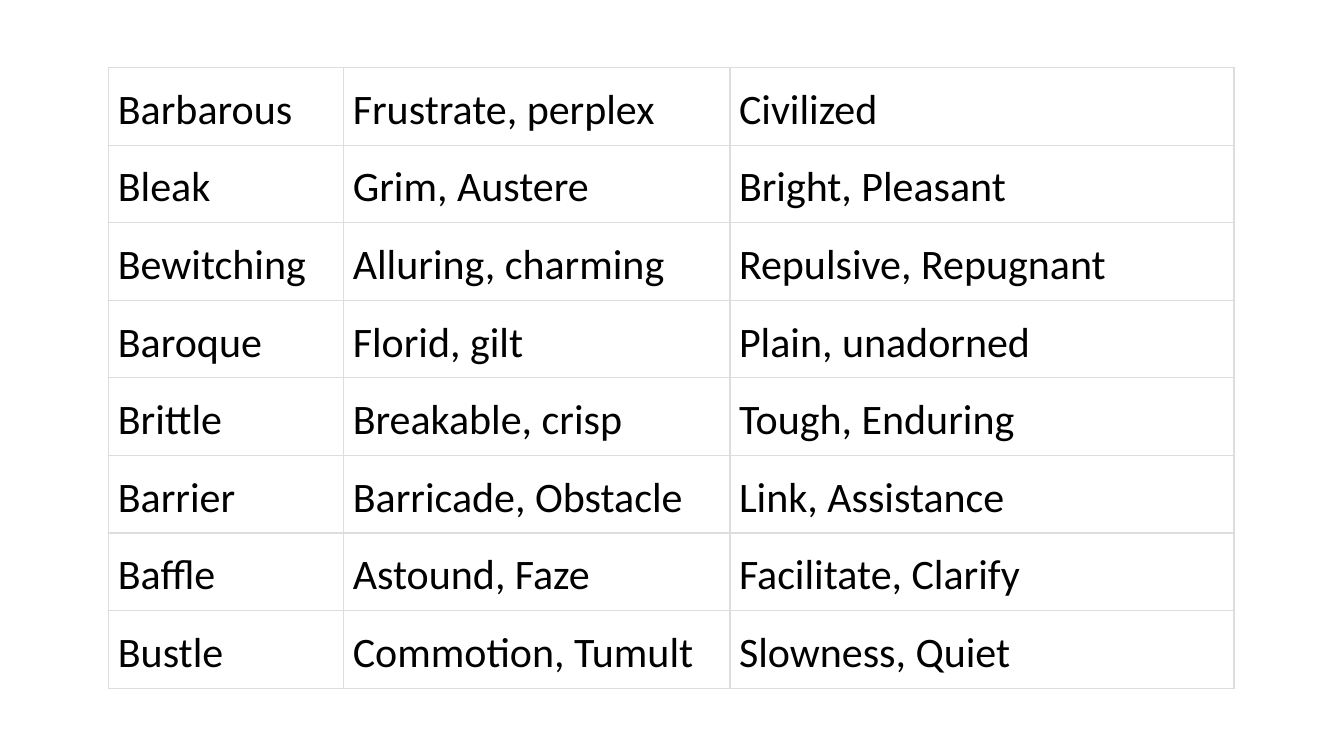
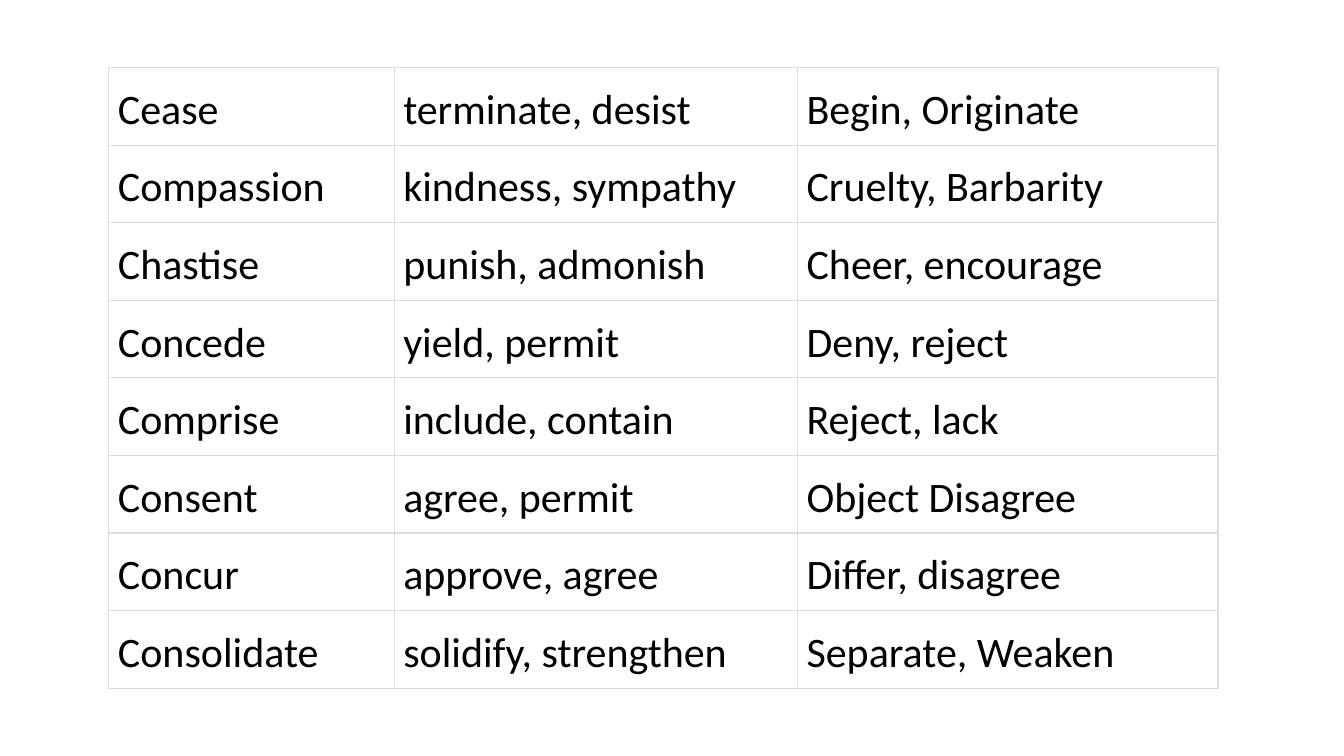
from lxml import etree
from pptx import Presentation
from pptx.dml.color import RGBColor
from pptx.enum.text import MSO_ANCHOR
from pptx.oxml.ns import qn
from pptx.util import Inches, Pt

TOP = MSO_ANCHOR.TOP
COLORS = {"text": "000000", "cell": "FFFFFF", "border": "DDDDDD"}
FONT = "Calibri"
BLANK_LAYOUT = 6
LEFT, TOP_EDGE, ROW_HEIGHT = 1.08, 0.67, 0.77
CELL_MARGIN = 0.09
BORDER_WIDTH = 1

WORD_TABLES = [
    {
        "columns": (2.33, 3.83, 5),
        "rows": [
            ("Barbarous", "Frustrate, perplex", "Civilized"),
            ("Bleak", "Grim, Austere", "Bright, Pleasant"),
            ("Bewitching", "Alluring, charming", "Repulsive, Repugnant"),
            ("Baroque", "Florid, gilt", "Plain, unadorned"),
            ("Brittle", "Breakable, crisp", "Tough, Enduring"),
            ("Barrier", "Barricade, Obstacle", "Link, Assistance"),
            ("Baffle", "Astound, Faze", "Facilitate, Clarify"),
            ("Bustle", "Commotion, Tumult", "Slowness, Quiet"),
        ],
    },
    {
        "columns": (2.83, 4, 4.17),
        "rows": [
            ("Cease", "terminate, desist", "Begin, Originate"),
            ("Compassion", "kindness, sympathy", "Cruelty, Barbarity"),
            ("Chastise", "punish, admonish", "Cheer, encourage"),
            ("Concede", "yield, permit", "Deny, reject"),
            ("Comprise", "include, contain", "Reject, lack"),
            ("Consent", "agree, permit", "Object Disagree"),
            ("Concur", "approve, agree", "Differ, disagree"),
            ("Consolidate", "solidify, strengthen", "Separate, Weaken"),
        ],
    },
]


def rgb(name):
    return RGBColor.from_string(COLORS[name])


def write_text(tf, text, size=30, color="text", spacing=1.15):
    p = tf.paragraphs[0]
    p.line_spacing = spacing
    r = p.add_run()
    r.text = text
    r.font.name = FONT
    r.font.size = Pt(size)
    r.font.color.rgb = rgb(color)


def add_borders(cell):
    tc_pr = cell._tc.get_or_add_tcPr()
    for side in ("a:lnL", "a:lnR", "a:lnT", "a:lnB"):
        ln = etree.SubElement(tc_pr, qn(side), w=str(Pt(BORDER_WIDTH)))
        fill = etree.SubElement(ln, qn("a:solidFill"))
        etree.SubElement(fill, qn("a:srgbClr"), val=COLORS["border"])


def format_cell(cell):
    cell.margin_left = cell.margin_right = Inches(CELL_MARGIN)
    cell.margin_top = cell.margin_bottom = Inches(CELL_MARGIN)
    cell.vertical_anchor = TOP
    add_borders(cell)
    cell.fill.solid()
    cell.fill.fore_color.rgb = rgb("cell")


def add_word_table(s, columns, rows):
    frame = s.shapes.add_table(
        len(rows), len(columns), Inches(LEFT), Inches(TOP_EDGE),
        Inches(sum(columns)), Inches(ROW_HEIGHT * len(rows)))
    table = frame.table
    table.first_row = False
    table.horz_banding = False
    for column, width in zip(table.columns, columns):
        column.width = Inches(width)
    for i, words in enumerate(rows):
        table.rows[i].height = Inches(ROW_HEIGHT)
        for j, text in enumerate(words):
            cell = table.cell(i, j)
            format_cell(cell)
            write_text(cell.text_frame, text)


def main():
    prs = Presentation()
    prs.slide_width = Inches(13.33)
    prs.slide_height = Inches(7.5)
    for word_table in WORD_TABLES:
        s = prs.slides.add_slide(prs.slide_layouts[BLANK_LAYOUT])
        add_word_table(s, **word_table)
    prs.save("out.pptx")


if __name__ == "__main__":
    main()
